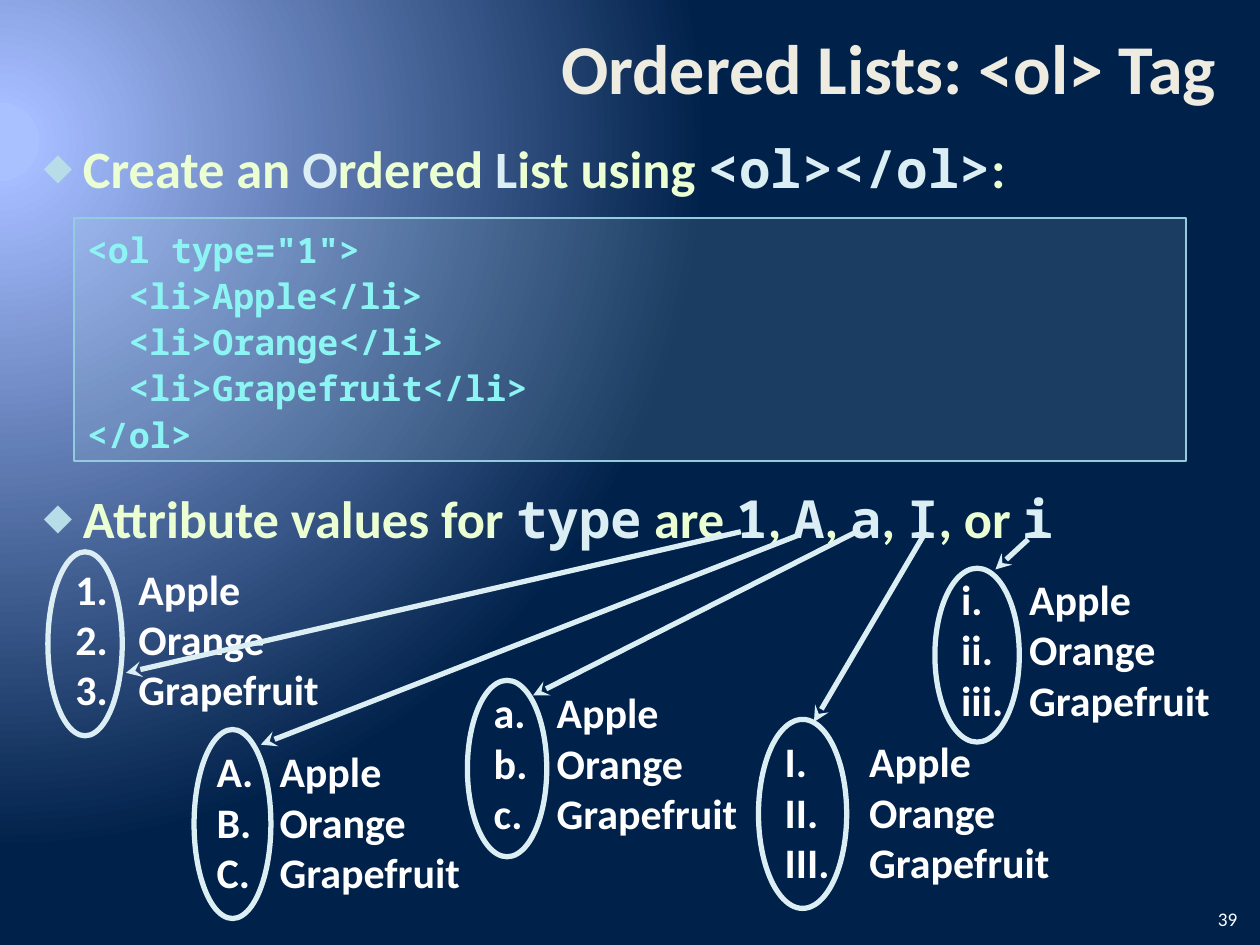
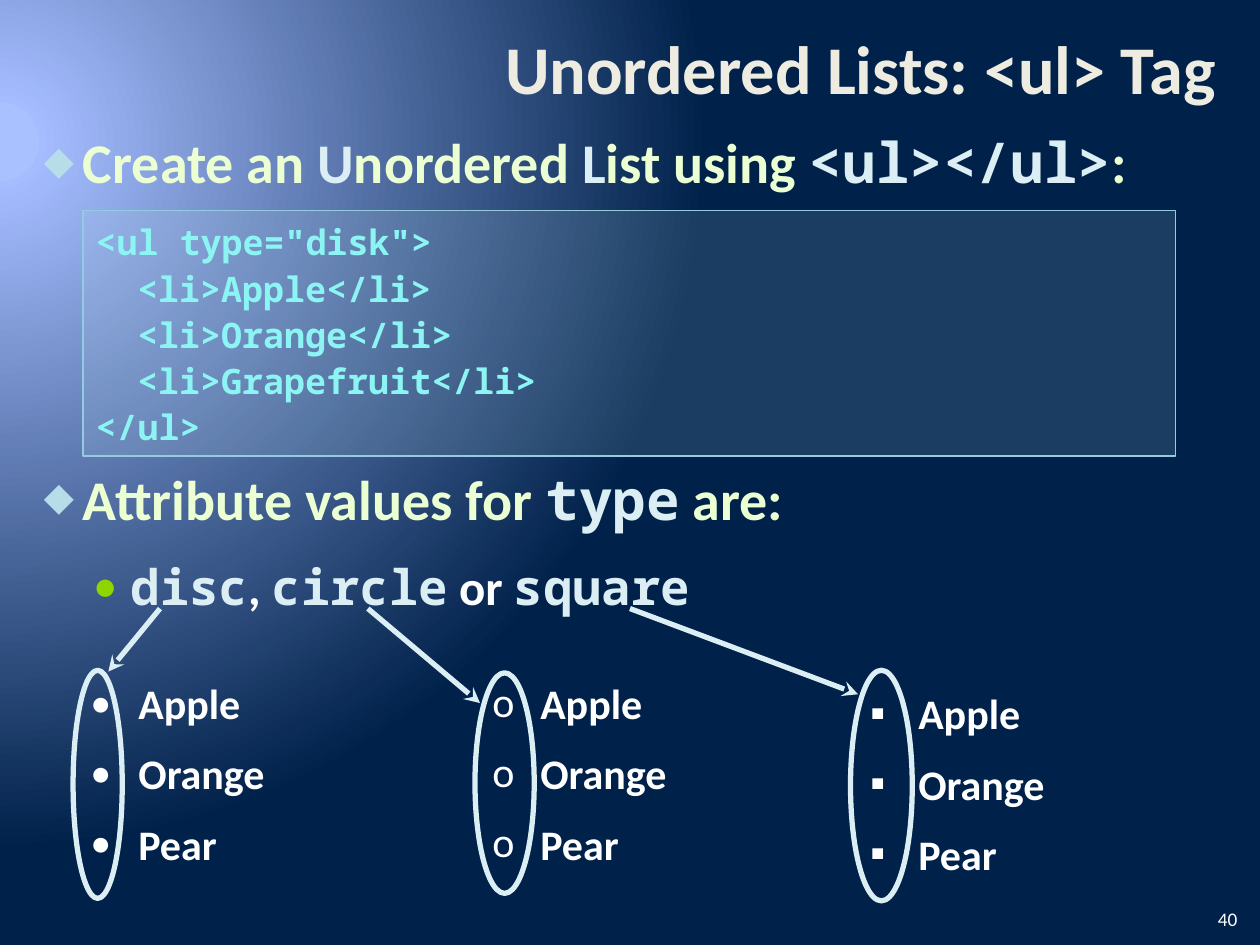
from dataclasses import dataclass
from typing import NamedTuple

from lxml import etree
from pptx import Presentation
from pptx.dml.color import RGBColor
from pptx.enum.shapes import MSO_CONNECTOR, MSO_SHAPE
from pptx.enum.text import MSO_ANCHOR, MSO_AUTO_SIZE, PP_ALIGN
from pptx.oxml.ns import qn
from pptx.util import Emu, Inches, Pt

ELLIPSE, RECTANGLE = MSO_SHAPE.OVAL, MSO_SHAPE.RECTANGLE
STRAIGHT = MSO_CONNECTOR.STRAIGHT
TOP, MIDDLE = MSO_ANCHOR.TOP, MSO_ANCHOR.MIDDLE
LEFT, RIGHT = PP_ALIGN.LEFT, PP_ALIGN.RIGHT
GROW = MSO_AUTO_SIZE.SHAPE_TO_FIT_TEXT

SANS, MONO = "Calibri", "Noto Sans Mono"
WHITE, CREAM, LIME, ICE = "FFFFFF", "EEECE1", "EBFFD2", "DBEEF4"
PALE_BLUE, CODE_EDGE, CODE_TEXT, GREEN = "B7DEE8", "93CDDD", "8CF4F2", "8FD600"
GLOW = ((5, "AAC1FF"), (5, "A5BDFF"), (90, "00214A"))
GLOW_CENTER = {"l": 20, "t": 30, "r": 135, "b": 100}

# The slide is a grid of square cells.
COLUMNS, ROWS = 100, 75
SLIDE_WIDTH, SLIDE_HEIGHT = Inches(10), Inches(7.5)
PARAGRAPH_GAP = 6
CODE_ROWS_SKIPPED = 3


class Point(NamedTuple):
    column: float
    row: float

    def emu(self) -> tuple[Emu, Emu]:
        return (Emu(round(self.column * SLIDE_WIDTH / COLUMNS)),
                Emu(round(self.row * SLIDE_HEIGHT / ROWS)))


class Area(NamedTuple):
    column: float
    row: float
    columns: float
    rows: float

    def emu(self) -> tuple[Emu, ...]:
        return Point(*self[:2]).emu() + Point(*self[2:]).emu()


class Span(NamedTuple):
    text: str
    color: str = LIME
    font: str = SANS


class Bullet(NamedTuple):
    mark: str
    indent: float
    numbered: bool = False
    color: str = WHITE
    percent: int = 100
    margin: float | None = None


@dataclass(frozen=True)
class ListExample:
    """A rendered list, the ring round its marks and the arrow to it."""
    area: Area
    bullet: Bullet
    ring: Area
    arrow_start: Point
    arrow_end: Point


@dataclass(frozen=True)
class Lesson:
    number: int
    title: str
    title_size: int
    tag: str
    list_type: str
    code_area: Area
    body_size: int
    line_height: int
    intro: list[Span]
    attributes: list[Span]
    values: list[Span]
    items: list[str]
    item_gap: float
    wrap: bool
    examples: list[ListExample]


TITLE_AREA = Area(20, 0.8, 77.5, 10)
BODY_AREA = Area(2.5, 10, 95, 62.5)
NUMBER_AREA = Area(94.2, 71.7, 5, 2.5)
DIAMOND = Bullet("◆", 0.31, color=PALE_BLUE, percent=70)
DOT = Bullet("•", 0.3, color=GREEN, margin=0.69)


def key(text: str) -> Span:
    return Span(text, ICE)


def code(text: str) -> Span:
    return Span(text, ICE, MONO)


def white(text: str) -> Span:
    return Span(text, WHITE)


def numbered(scheme: str, indent: float = 0.5) -> Bullet:
    return Bullet(scheme, indent, numbered=True)


ORDERED = Lesson(
    39, "Ordered Lists: <ol> Tag", 40, "ol", "1", Area(5.9, 17.3, 88.2, 19.3), 30, 38,
    [Span("Create an "), key("O"), Span("rdered "), key("L"), Span("ist using "),
     code("<ol></ol>"), Span(":")],
    [Span("Attribute values for "), code("type"), Span(" are "), code("1"), Span(", "),
     code("A"), Span(", "), code("a"), Span(", "), code("I"), Span(", or "), code("i")],
    [], ["Apple", "Orange", "Grapefruit"], 0, False,
    [
        ListExample(Area(5, 44.2, 22.1, 13.1), numbered("arabicPeriod"),
                    Area(3.8, 43.8, 5.9, 14.6), Point(58.8, 42.2), Point(10, 53.4)),
        ListExample(Area(16.2, 58.7, 22.1, 13.1), numbered("alphaUcPeriod"),
                    Area(15.4, 57.9, 6.1, 15), Point(63.3, 42.5), Point(20.7, 59.1)),
        ListExample(Area(38.2, 54, 22.1, 13.1), numbered("alphaLcPeriod"),
                    Area(37.1, 54, 6.3, 14), Point(68, 42.2), Point(42.3, 55.2)),
        ListExample(Area(61.3, 57.9, 23.7, 13.1), numbered("romanUcPeriod", 0.67),
                    Area(60.2, 57.1, 7, 15), Point(73.3, 42.5), Point(64.6, 57.3)),
        ListExample(Area(75.3, 45, 22.5, 13.1), numbered("romanLcPeriod", 0.54),
                    Area(74.2, 45.1, 6.7, 13.8), Point(81.6, 42.8), Point(79, 45.2)),
    ])

UNORDERED = Lesson(
    40, "Unordered Lists: <ul> Tag", 39, "ul", "disk", Area(6.6, 16.7, 86.7, 19.5), 32, 36,
    [Span("Create an "), key("U"), Span("nordered "), key("L"), Span("ist using "),
     code("<ul></ul>"), Span(":")],
    [Span("Attribute values for "), code("type"), Span(" are:")],
    [code("disc"), white(", "), code("circle"), white(" or "), code("square")],
    ["Apple", "Orange", "Pear"], 11.3, True,
    [
        ListExample(Area(6.2, 53.3, 18.3, 17.2), Bullet("•", 0.38),
                    Area(5.8, 53.2, 3.9, 18.1), Point(12.7, 48.3), Point(8.6, 53.3)),
        ListExample(Area(38.1, 53.3, 20.8, 17.2), Bullet("o", 0.38),
                    Area(37.7, 53.4, 4.7, 17.5), Point(29.2, 48.3), Point(38.1, 55.8)),
        ListExample(Area(68.1, 54.1, 20.8, 17.2), Bullet("▪", 0.38),
                    Area(67.5, 53.2, 4.9, 18.3), Point(50, 48.3), Point(68.1, 55.1)),
    ])


def rgb(color: str) -> RGBColor:
    return RGBColor.from_string(color)


def add_child(parent, tag: str, **attributes):
    return etree.SubElement(parent, qn(tag),
                            {name: str(value) for name, value in attributes.items()})


def paint_background(master) -> None:
    """Give every slide the round glow at the upper left."""
    master.background.fill.background()
    flat = master.element.find(".//" + qn("p:bgPr")).find(qn("a:noFill"))
    gradient = etree.Element(qn("a:gradFill"), {"rotWithShape": "1"})
    stops = add_child(gradient, "a:gsLst")
    for percent, color in GLOW:
        add_child(add_child(stops, "a:gs", pos=percent * 1000), "a:srgbClr", val=color)
    shade = add_child(gradient, "a:path", path="circle")
    add_child(shade, "a:fillToRect",
              **{side: share * 1000 for side, share in GLOW_CENTER.items()})
    flat.getparent().replace(flat, gradient)


def set_indent(paragraph, margin: float, first: float = 0):
    properties = paragraph._p.get_or_add_pPr()
    properties.set("marL", str(Inches(margin)))
    properties.set("indent", str(Inches(first)))
    return properties


def set_bullet(paragraph, bullet: Bullet) -> None:
    """Must run before the paragraph's font is set."""
    properties = set_indent(paragraph, bullet.margin or bullet.indent, -bullet.indent)
    add_child(add_child(properties, "a:buClr"), "a:srgbClr", val=bullet.color)
    add_child(properties, "a:buSzPct", val=bullet.percent * 1000)
    add_child(properties, "a:buFont", typeface=SANS)
    if bullet.numbered:
        add_child(properties, "a:buAutoNum", type=bullet.mark)
    else:
        add_child(properties, "a:buChar", char=bullet.mark)


def set_font(font, color: str, name: str, size: float | None = None,
             bold: bool | None = None) -> None:
    font.name, font.color.rgb = name, rgb(color)
    if size:
        font.size, font.bold = Pt(size), bold


def add_box(page, area: Area, anchor=TOP, wrap: bool = True):
    frame = page.shapes.add_textbox(*area.emu()).text_frame
    frame.word_wrap, frame.vertical_anchor = wrap, anchor
    return frame


def next_paragraph(frame, index: int):
    return frame.add_paragraph() if index else frame.paragraphs[0]


def add_label(page, area: Area, text: str, color: str, size: int, bold: bool):
    """One right-aligned line, centred in its height."""
    para = add_box(page, area, MIDDLE).paragraphs[0]
    para.text, para.alignment = text, RIGHT
    set_font(para.font, color, SANS, size, bold)
    return para


def add_body(page, lesson: Lesson) -> None:
    frame = add_box(page, BODY_AREA)
    code_gap = CODE_ROWS_SKIPPED * (lesson.line_height + 2 * PARAGRAPH_GAP)
    lines = [(lesson.intro, DIAMOND, lesson.body_size, 0),
             (lesson.attributes, DIAMOND, lesson.body_size, code_gap),
             (lesson.values, DOT, lesson.body_size - 4, 0)]
    for index, (spans, bullet, size, extra_gap) in enumerate(lines):
        if not spans:
            continue
        para = next_paragraph(frame, index)
        set_bullet(para, bullet)
        para.line_spacing = Pt(lesson.line_height)
        para.space_before = Pt(PARAGRAPH_GAP + extra_gap)
        para.space_after = Pt(PARAGRAPH_GAP)
        para.font.size, para.font.bold = Pt(size), True
        for span in spans:
            run = para.add_run()
            run.text = span.text
            set_font(run.font, span.color, span.font)


def add_outline(page, preset, area: Area, color: str, width: float):
    shape = page.shapes.add_shape(preset, *area.emu())
    shape.shadow.inherit = False
    shape.fill.background()
    shape.line.color.rgb, shape.line.width = rgb(color), Pt(width)
    return shape


def add_code(page, lesson: Lesson) -> None:
    panel = add_outline(page, RECTANGLE, lesson.code_area, CODE_EDGE, 1)
    panel.fill.solid()
    panel.fill.fore_color.rgb = rgb(PALE_BLUE)
    add_child(panel.element.spPr.find(qn("a:solidFill"))[0], "a:alpha", val=15000)
    frame = panel.text_frame
    frame.word_wrap, frame.vertical_anchor = True, TOP
    entries = [f"<li>{fruit}</li>" for fruit in ("Apple", "Orange", "Grapefruit")]
    lines = [f'<{lesson.tag} type="{lesson.list_type}">', *entries, f"</{lesson.tag}>"]
    for index, line in enumerate(lines):
        para = next_paragraph(frame, index)
        para.text, para.alignment, para.line_spacing = line, LEFT, 1.1
        set_indent(para, 0.33 if line in entries else 0)
        set_font(para.font, CODE_TEXT, MONO, 20, True)


def add_arrow(page, start: Point, end: Point) -> None:
    arrow = page.shapes.add_connector(STRAIGHT, *start.emu(), *end.emu())
    arrow.line.color.rgb, arrow.line.width = rgb(ICE), Pt(3)
    properties = arrow.element.spPr
    add_child(properties.find(qn("a:ln")), "a:tailEnd", type="stealth")
    add_child(properties, "a:effectLst")


def add_example(page, lesson: Lesson, example: ListExample) -> None:
    frame = add_box(page, example.area, wrap=lesson.wrap)
    frame.auto_size = GROW
    for index, item in enumerate(lesson.items):
        para = next_paragraph(frame, index)
        set_bullet(para, example.bullet)
        para.text = item
        para.space_before = Pt(lesson.item_gap if index else 0)
        set_font(para.font, WHITE, SANS, 24, True)
    add_arrow(page, example.arrow_start, example.arrow_end)
    add_outline(page, ELLIPSE, example.ring, ICE, 3)


def add_lesson(deck, lesson: Lesson) -> None:
    page = deck.slides.add_slide(deck.slide_layouts[6])
    title = add_label(page, TITLE_AREA, lesson.title, CREAM, lesson.title_size, True)
    title.line_spacing = Pt(40)
    add_body(page, lesson)
    add_label(page, NUMBER_AREA, str(lesson.number), WHITE, 11, False)
    for example in lesson.examples:
        add_example(page, lesson, example)
    add_code(page, lesson)


def main() -> None:
    deck = Presentation()
    deck.slide_width, deck.slide_height = SLIDE_WIDTH, SLIDE_HEIGHT
    paint_background(deck.slide_master)
    for lesson in (ORDERED, UNORDERED):
        add_lesson(deck, lesson)
    deck.save("out.pptx")


if __name__ == "__main__":
    main()
